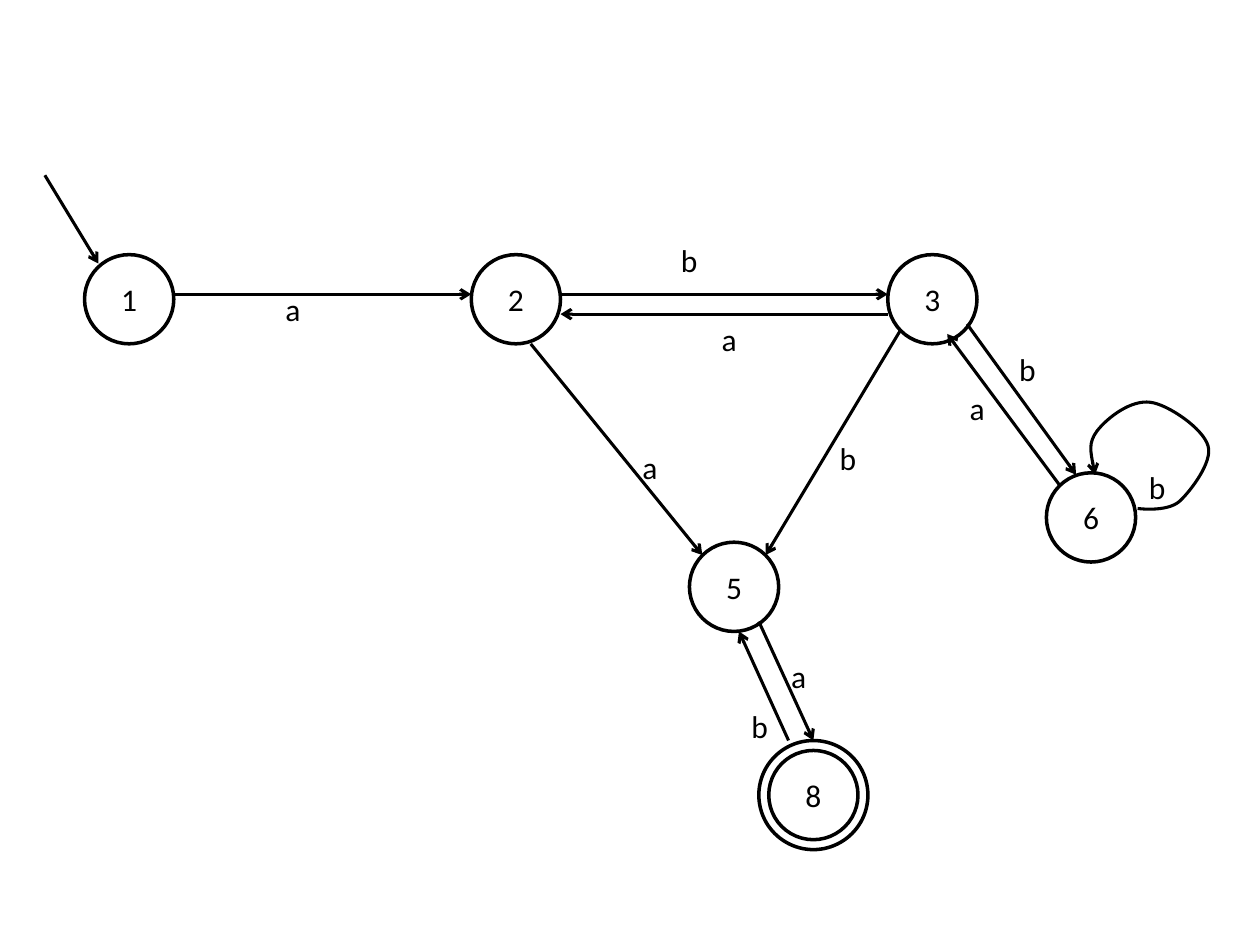
from typing import NamedTuple, Optional

from lxml import etree
from pptx import Presentation
from pptx import util as u
from pptx.dml.color import RGBColor
from pptx.enum import shapes, text
from pptx.oxml.ns import qn

BLACK = RGBColor(0, 0, 0)
WHITE = RGBColor(255, 255, 255)
FONT = "Calibri"
STEP = 0.0787  # a grid of 2 mm, with its origin at the centre of state 1
LEFT, TOP = 1.025, 2.375
SIZE, RING = 9, 11
WIDTHS = {"a": 0.32, "b": 0.34}


class State(NamedTuple):
    """A state, with its centre in grid steps."""
    name: str
    col: float
    row: float
    final: bool = False


class Move(NamedTuple):
    """An arrow, with the top left corner of its label."""
    start: tuple
    end: tuple
    label: str = ""
    spot: Optional[tuple] = None


STATES = [
    State("1", 0, 0), State("2", 39, 0), State("3", 81, 0),
    State("5", 61, 29), State("6", 97, 22), State("8", 69, 50, final=True),
]
MOVES = [
    Move((-8.5, -12.5), (-3.1, -3.6)),
    Move((4.5, -0.5), (34.5, -0.5), "a", (14.5, -1.6)),
    Move((43.5, -0.5), (76.5, -0.5), "b", (54.4, -6.5)),
    Move((76.5, 1.5), (43.5, 1.5), "a", (58.5, 1.5)),
    Move((40.5, 4.5), (57.8, 25.8), "a", (50.5, 14.4)),
    Move((77.8, 3.1), (64.2, 25.8), "b", (70.4, 13.5)),
    Move((84.5, 2.5), (95.5, 17.7), "b", (88.5, 4.5)),
    Move((93.8, 18.7), (82.5, 3.5), "a", (83.5, 8.4)),
    Move((63.5, 32.5), (69, 44.5), "a", (65.5, 35.5)),
    Move((66.5, 44.5), (61.5, 33.5), "b", (61.5, 40.5)),
]
# The start, then two control points and an end for each curve
LOOP = [
    (101.7, 21.1),
    (101.7, 21.1), (104.6, 21.5), (105.9, 20.4),
    (107, 19.4), (109.3, 16.4), (108.8, 14.8),
    (108.3, 13), (104.7, 10.6), (103, 10.4),
    (101, 10.1), (98.6, 12), (97.6, 13.3),
    (96.7, 14.5), (97.1, 16.2), (97.4, 17.7),
]
LOOP_SPOT = (101.6, 16.4)


def place(col: float, row: float) -> tuple:
    """Turn a grid point into slide lengths."""
    return u.Inches(LEFT + col * STEP), u.Inches(TOP + row * STEP)


def write(frame, words: str, *, size: float = 18, color=BLACK, align=None,
          wrap: bool = True, anchor=text.MSO_ANCHOR.TOP) -> None:
    """Put formatted text in a text frame."""
    frame.word_wrap = wrap
    frame.vertical_anchor = anchor
    para = frame.paragraphs[0]
    para.alignment = align
    run = para.add_run()
    run.text = words
    run.font.name, run.font.size = FONT, u.Pt(size)
    run.font.color.rgb = color


def disc(slide, state: State, size: float):
    """Draw a circle around the centre of a state."""
    shape = slide.shapes.add_shape(
        shapes.MSO_SHAPE.OVAL,
        *place(state.col - size / 2, state.row - size / 2),
        u.Inches(size * STEP), u.Inches(size * STEP))
    shape.shadow.inherit = False
    shape.fill.solid()
    shape.fill.fore_color.rgb = WHITE
    shape.line.color.rgb, shape.line.width = BLACK, u.Pt(2)
    return shape


def draw_state(slide, state: State) -> None:
    """Draw a state, with an outer ring when it is final."""
    if state.final:
        disc(slide, state, RING)
    write(disc(slide, state, SIZE).text_frame, state.name,
          align=text.PP_ALIGN.CENTER, anchor=text.MSO_ANCHOR.MIDDLE)


def point(line) -> None:
    """Style a line and give its end an open arrowhead."""
    line.color.rgb, line.width = BLACK, u.Pt(1.75)
    tip = etree.SubElement(line._get_or_add_ln(), qn("a:tailEnd"))
    tip.set("type", "arrow")


def draw_label(slide, words: str, spot: tuple) -> None:
    """Write the letter of a move."""
    box = slide.shapes.add_textbox(
        *place(*spot), u.Inches(WIDTHS[words]), u.Inches(0.4))
    write(box.text_frame, words, wrap=False)
    box.text_frame.auto_size = text.MSO_AUTO_SIZE.SHAPE_TO_FIT_TEXT


def draw_move(slide, move: Move) -> None:
    """Draw a straight arrow and its label."""
    link = slide.shapes.add_connector(
        shapes.MSO_CONNECTOR.STRAIGHT, *place(*move.start), *place(*move.end))
    point(link.line)
    etree.SubElement(link._element.spPr, qn("a:effectLst"))
    if move.spot:
        draw_label(slide, move.label, move.spot)


def draw_loop(slide, points: list) -> None:
    """Draw a curved arrow, three points to each curve."""
    first, *rest = [place(*spot) for spot in points]
    pen = slide.shapes.build_freeform(*first)
    pen.add_line_segments(rest, close=False)
    shape = pen.convert_to_shape()
    shape.shadow.inherit = False
    shape.fill.background()
    point(shape.line)
    parts = shape._element.xpath(".//a:lnTo")
    for i in range(0, len(parts), 3):
        curve = etree.Element(qn("a:cubicBezTo"))
        parts[i].addprevious(curve)
        for part in parts[i:i + 3]:
            curve.append(part[0])
            part.getparent().remove(part)


def main() -> None:
    """Build the slide and save it."""
    deck = Presentation()
    deck.slide_width, deck.slide_height = u.Inches(10), u.Inches(7.5)
    slide = deck.slides.add_slide(deck.slide_layouts[6])
    for state in STATES:
        draw_state(slide, state)
    for move in MOVES:
        draw_move(slide, move)
    draw_loop(slide, LOOP)
    draw_label(slide, "b", LOOP_SPOT)
    deck.save("out.pptx")


main()
